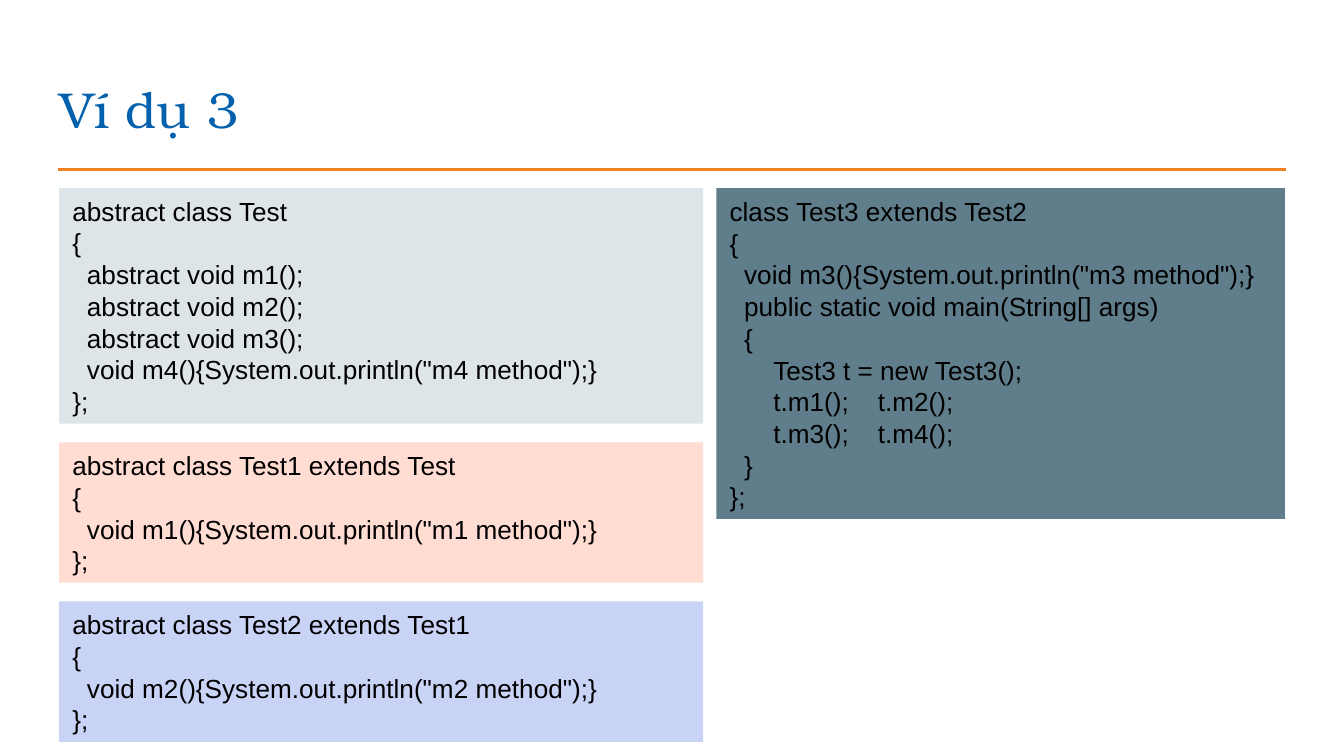
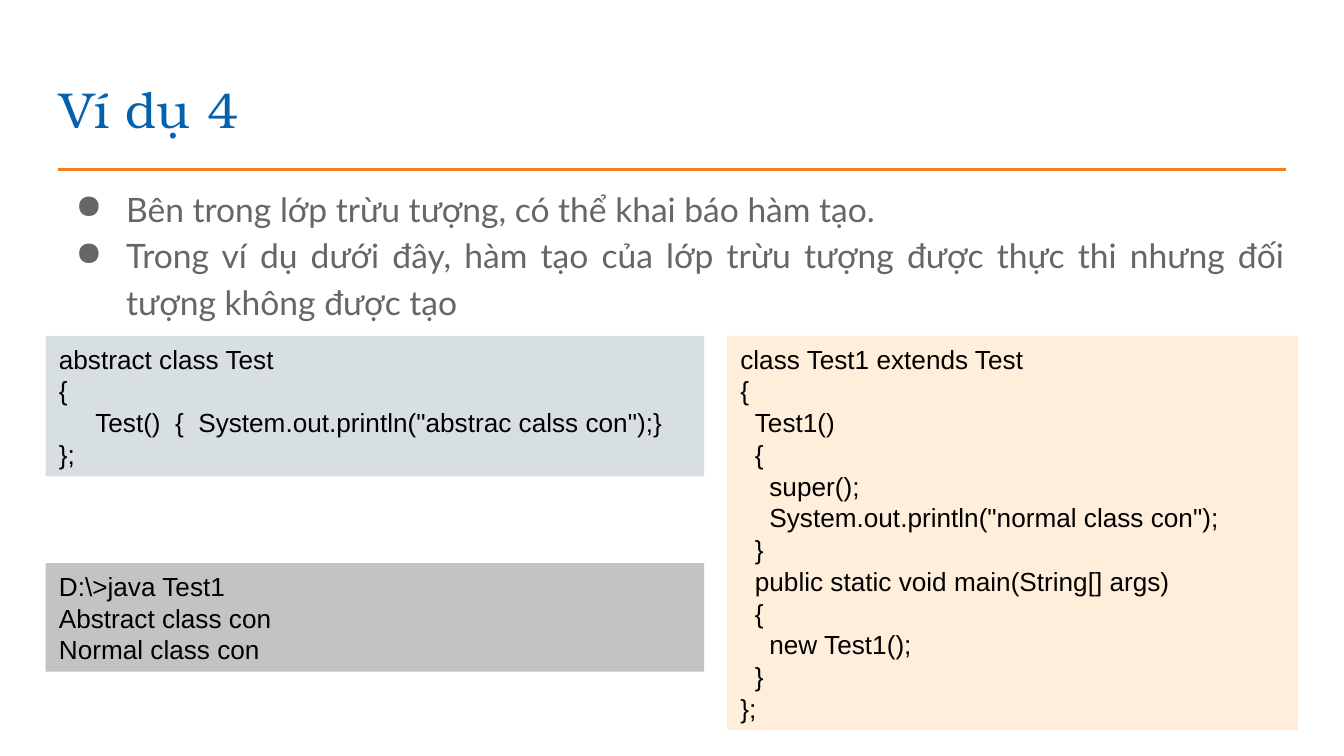
"""Build two slides of Java abstract class examples."""
from lxml import etree
from pptx import Presentation
from pptx import util as u
from pptx.dml.color import RGBColor
from pptx.enum import shapes, text
from pptx.oxml.ns import qn

Pt = u.Pt
COLORS = {
    "title": "0361AE", "rule": "F48121", "body": "666666", "code": "000000",
    "mist": "DEE5E9", "peach": "FFDDD3", "lilac": "C9D3F6", "slate": "607D8B",
    "fog": "D7DFE3", "cream": "FFEED9", "gray": "C3C3C3",
}
FONTS = {"title": "TeX Gyre Bonum", "body": "Lato", "code": "Arial"}
SIZES = {"title": 27, "body": 18, "code": 14}
LEFT, WIDTH = 24.5, 671
RULE_Y = 90.7
LINE_H, PAD_X, PAD_Y = 17, 7.2, 3.6
GAP = 10
TABS = (7.8, 15.6)

TEST = """abstract class Test
{
\tabstract void m1();
\tabstract void m2();
\tabstract void m3();
\tvoid m4(){System.out.println("m4 method");}
};"""
TEST_CHILD = """abstract class Test{0} extends Test{1}
{{
\tvoid m{0}(){{System.out.println("m{0} method");}}
}};"""
TEST3 = """class Test3 extends Test2
{
\tvoid m3(){System.out.println("m3 method");}
\tpublic static void main(String[] args)
\t{
\t\tTest3 t = new Test3();
\t\tt.m1();\tt.m2();
\t\tt.m3();\tt.m4();
\t}
};"""
CONSTRUCTOR = """abstract class Test
{
\tTest()\t{\tSystem.out.println("abstrac calss con");}
};"""
SUPER_CALL = """class Test1 extends Test
{
\tTest1()
\t{
\t\tsuper();
\t\tSystem.out.println("normal class con");
\t}
\tpublic static void main(String[] args)
\t{
\t\tnew Test1();
\t}
};"""
OUTPUT = """D:\\>java Test1
Abstract class con
Normal class con"""
NOTES = """Bên trong lớp trừu tượng, có thể khai báo hàm tạo.
Trong ví dụ dưới đây, hàm tạo của lớp trừu tượng được thực thi nhưng đối tượng không được tạo"""


def rgb(name):
    """Return a palette colour."""
    return RGBColor.from_string(COLORS[name])


def set_frame(tf, pad_x, pad_y, anchor):
    """Set wrapping, insets and anchor of a text frame."""
    tf.word_wrap = True
    tf.auto_size = text.MSO_AUTO_SIZE.NONE
    tf.margin_left = tf.margin_right = Pt(pad_x)
    tf.margin_top = tf.margin_bottom = Pt(pad_y)
    tf.vertical_anchor = anchor


def style_text(tf, role, align, spacing):
    """Format every paragraph and run for its role."""
    for p in tf.paragraphs:
        p.alignment = align
        p.line_spacing = spacing
        for r in p.runs:
            r.font.name = FONTS[role]
            r.font.size = Pt(SIZES[role])
            r.font.color.rgb = rgb(role)


def add_tabs(p, stops):
    """Give a paragraph left tab stops."""
    tabs = etree.SubElement(p._p.get_or_add_pPr(), qn("a:tabLst"))
    for stop in stops:
        etree.SubElement(tabs, qn("a:tab"), pos=str(int(Pt(stop))), algn="l")


def add_bullet(p):
    """Give a paragraph a hanging round bullet."""
    pPr = p._p.get_or_add_pPr()
    pPr.set("marL", str(int(Pt(36))))
    pPr.set("indent", str(int(Pt(-27))))
    clr = etree.SubElement(pPr, qn("a:buClr"))
    etree.SubElement(clr, qn("a:srgbClr"), val=COLORS["body"])
    etree.SubElement(pPr, qn("a:buChar"), char="●")


def add_rule(s):
    """Draw the line under the title."""
    cx = s.shapes.add_connector(shapes.MSO_CONNECTOR.STRAIGHT,
                                Pt(31), Pt(RULE_Y), Pt(689), Pt(RULE_Y))
    cx.line.color.rgb = rgb("rule")
    cx.line.width = Pt(1.5)
    etree.SubElement(cx._element.spPr, qn("a:effectLst"))


def add_slide(prs, title):
    """Add a slide with its title and rule."""
    s = prs.slides.add_slide(prs.slide_layouts[5])
    sp = s.shapes.title
    sp.left, sp.top, sp.width, sp.height = Pt(LEFT), Pt(35.3), Pt(WIDTH), Pt(45.4)
    tf = sp.text_frame
    tf.text = title
    set_frame(tf, PAD_X, PAD_X, text.MSO_ANCHOR.MIDDLE)
    style_text(tf, "title", text.PP_ALIGN.LEFT, 1.0)
    add_rule(s)
    return s


def add_bullets(s, content):
    """Add the justified bullet list below the rule."""
    sp = s.shapes.add_textbox(Pt(LEFT), Pt(RULE_Y), Pt(WIDTH), Pt(269.3))
    tf = sp.text_frame
    tf.text = content
    set_frame(tf, PAD_X, PAD_X, text.MSO_ANCHOR.TOP)
    style_text(tf, "body", text.PP_ALIGN.JUSTIFY, 1.15)
    for p in tf.paragraphs:
        add_bullet(p)


def add_code(s, code, fill, x, y, w, stops=TABS):
    """Add a code box as tall as its lines and return its bottom."""
    h = LINE_H * len(code.splitlines()) + 2 * PAD_Y
    sp = s.shapes.add_shape(shapes.MSO_SHAPE.RECTANGLE, Pt(x), Pt(y), Pt(w), Pt(h))
    sp.shadow.inherit = False
    sp.fill.solid()
    sp.fill.fore_color.rgb = rgb(fill)
    sp.line.fill.background()
    tf = sp.text_frame
    tf.text = code
    set_frame(tf, PAD_X, PAD_Y, text.MSO_ANCHOR.TOP)
    style_text(tf, "code", text.PP_ALIGN.LEFT, Pt(LINE_H))
    for p in tf.paragraphs:
        add_tabs(p, stops)
    return y + h


def main():
    """Build and save the deck."""
    prs = Presentation()
    prs.slide_width, prs.slide_height = Pt(720), Pt(405)

    s = add_slide(prs, "Ví dụ 3")
    top = y = 100.8
    for code, fill in ((TEST, "mist"),
                       (TEST_CHILD.format(1, ""), "peach"),
                       (TEST_CHILD.format(2, 1), "lilac")):
        y = add_code(s, code, fill, 31.7, y, 345) + GAP
    add_code(s, TEST3, "slate", 383.8, top, 304.6, (7.8, 23.4, 79.4))

    s = add_slide(prs, "Ví dụ 4")
    add_bullets(s, NOTES)
    add_code(s, CONSTRUCTOR, "fog", LEFT, 180, 352.8, (19.5, 62.3, 74.7))
    add_code(s, SUPER_CALL, "cream", 389.5, 180, 306)
    add_code(s, OUTPUT, "gray", LEFT, 301.7, 352.8)
    prs.save("out.pptx")


if __name__ == "__main__":
    main()
